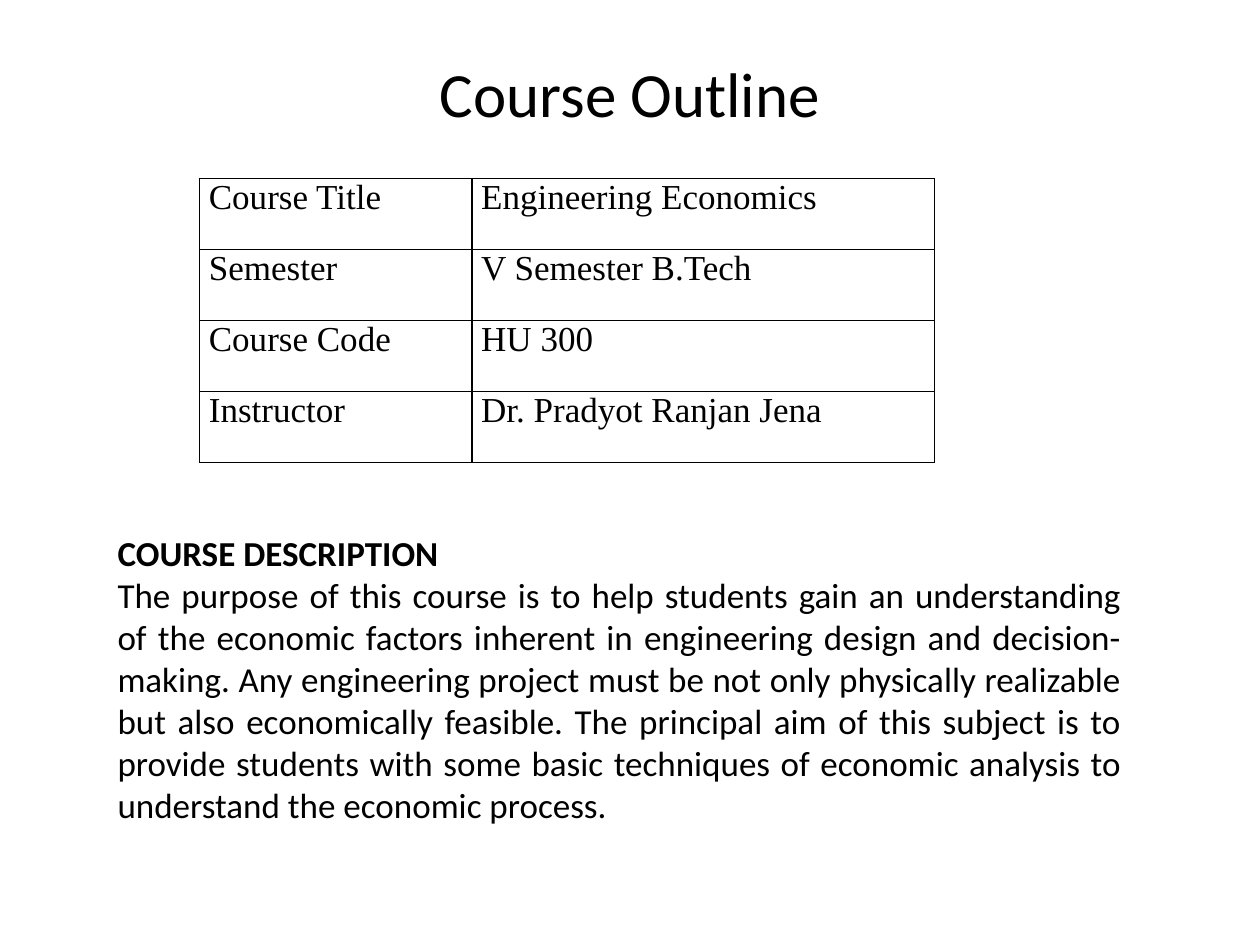
import dataclasses

import lxml.etree
import pptx
import pptx.dml.color
import pptx.enum.text
import pptx.oxml.ns
import pptx.util

Cm = pptx.util.Cm
Pt = pptx.util.Pt
ALIGN = pptx.enum.text.PP_ALIGN
ANCHOR = pptx.enum.text.MSO_ANCHOR


@dataclasses.dataclass(frozen=True)
class Theme:
    ink: str = "000000"
    heading_font: str = "Calibri"
    table_font: str = "Times New Roman"
    title_size: int = 36
    body_size: int = 20
    border_width: int = 1


COURSE_FACTS = [
    ("Course Title", "Engineering Economics"),
    ("Semester", "V Semester B.Tech"),
    ("Course Code", "HU 300"),
    ("Instructor", "Dr. Pradyot Ranjan Jena"),
]

DESCRIPTION = (
    "The purpose of this course is to help students gain an understanding of the "
    "economic factors inherent in engineering design and decision-making. Any "
    "engineering project must be not only physically realizable but also "
    "economically feasible. The principal aim of this subject is to provide students "
    "with some basic techniques of economic analysis to understand the economic process."
)


def set_format(target, values):
    for name, value in values.items():
        setattr(target, name, value)


class SlideBuilder:
    def __init__(self, s, theme):
        self.s = s
        self.theme = theme

    def add_text(self, p, text, font, size, align, bold=False):
        p.alignment = align
        r = p.add_run()
        r.text = text
        set_format(r.font, {"name": font, "size": Pt(size), "bold": bold})
        r.font.color.rgb = pptx.dml.color.RGBColor.from_string(self.theme.ink)

    def title(self, text, left, top, width, height):
        sp = self.s.shapes.title
        set_format(sp, {"left": left, "top": top, "width": width, "height": height})
        tf = sp.text_frame
        set_format(tf, {"vertical_anchor": ANCHOR.MIDDLE, "word_wrap": True})
        self.add_text(tf.paragraphs[0], text, self.theme.heading_font,
                      self.theme.title_size, ALIGN.CENTER)

    def borders(self, cell):
        qn = pptx.oxml.ns.qn
        props = cell._tc.get_or_add_tcPr()
        for index, side in enumerate(("a:lnL", "a:lnR", "a:lnT", "a:lnB")):
            line = lxml.etree.Element(qn(side), w=str(Pt(self.theme.border_width)))
            fill = lxml.etree.SubElement(line, qn("a:solidFill"))
            lxml.etree.SubElement(fill, qn("a:srgbClr"), val=self.theme.ink)
            props.insert(index, line)

    def table(self, rows, left, top, column_widths, row_height):
        table = self.s.shapes.add_table(
            len(rows), len(column_widths), left, top,
            sum(column_widths), row_height * len(rows)).table
        set_format(table, {"first_row": False, "horz_banding": False})
        for column, width in zip(table.columns, column_widths):
            column.width = width
        for row, texts in zip(table.rows, rows):
            row.height = row_height
            for cell, text in zip(row.cells, texts):
                set_format(cell, {"margin_left": Cm(0.19), "margin_right": Cm(0.19),
                                  "margin_top": 0, "margin_bottom": 0,
                                  "vertical_anchor": ANCHOR.TOP})
                cell.fill.background()
                self.borders(cell)
                self.add_text(cell.text_frame.paragraphs[0], text,
                              self.theme.table_font, self.theme.body_size,
                              ALIGN.JUSTIFY)

    def section(self, heading, body, left, top, width, height):
        tf = self.s.shapes.add_textbox(left, top, width, height).text_frame
        set_format(tf, {"word_wrap": True,
                        "auto_size": pptx.enum.text.MSO_AUTO_SIZE.SHAPE_TO_FIT_TEXT})
        font, size = self.theme.heading_font, self.theme.body_size
        self.add_text(tf.paragraphs[0], heading, font, size, ALIGN.LEFT, bold=True)
        self.add_text(tf.add_paragraph(), body, font, size, ALIGN.JUSTIFY)


def main():
    prs = pptx.Presentation()
    set_format(prs, {"slide_width": Cm(25.4), "slide_height": Cm(19.05)})
    s = prs.slides.add_slide(prs.slide_layouts.get_by_name("Title Only"))
    builder = SlideBuilder(s, Theme())
    builder.title("Course Outline", Cm(1.27), Cm(0.76), Cm(22.86), Cm(2.21))
    builder.table(COURSE_FACTS, Cm(4.02), Cm(3.6), [Cm(5.49), Cm(9.33)], Cm(1.43))
    builder.section("COURSE DESCRIPTION", DESCRIPTION,
                    Cm(2.12), Cm(10.58), Cm(20.74), Cm(7.01))
    prs.save("out.pptx")


if __name__ == "__main__":
    main()
